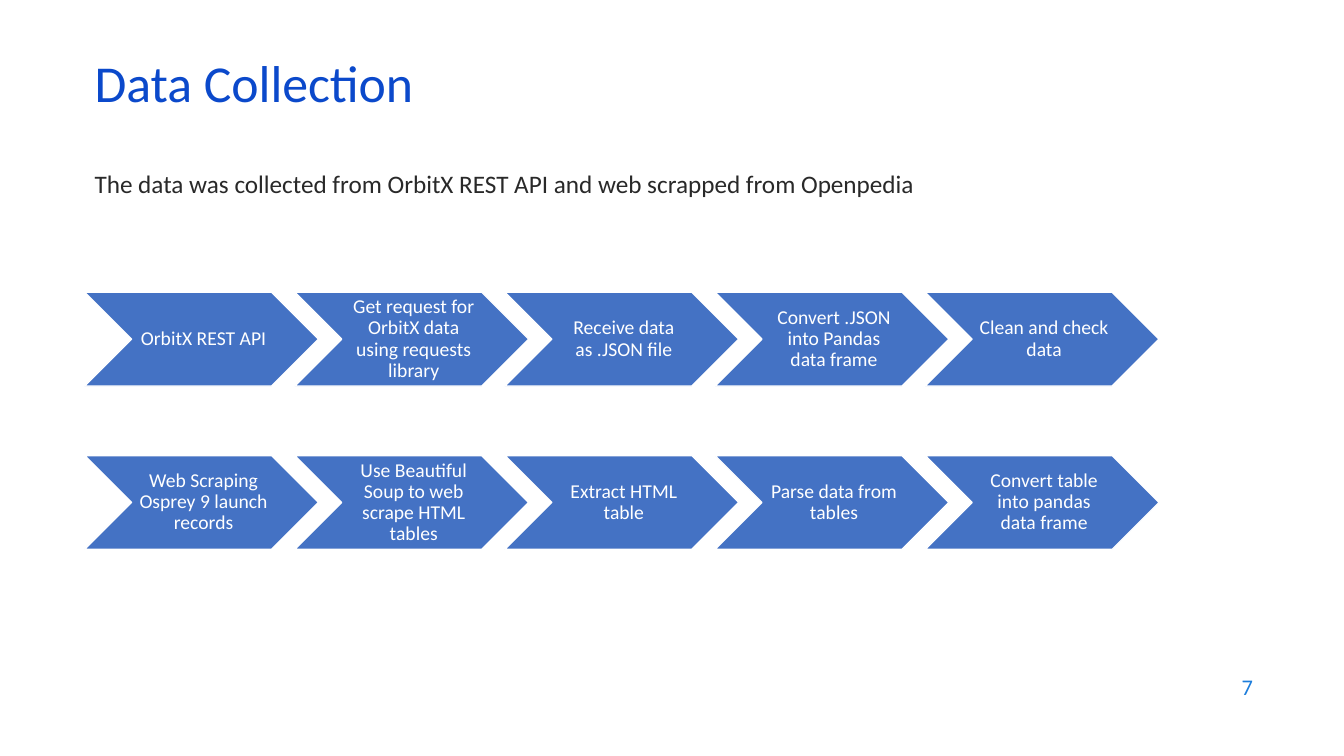
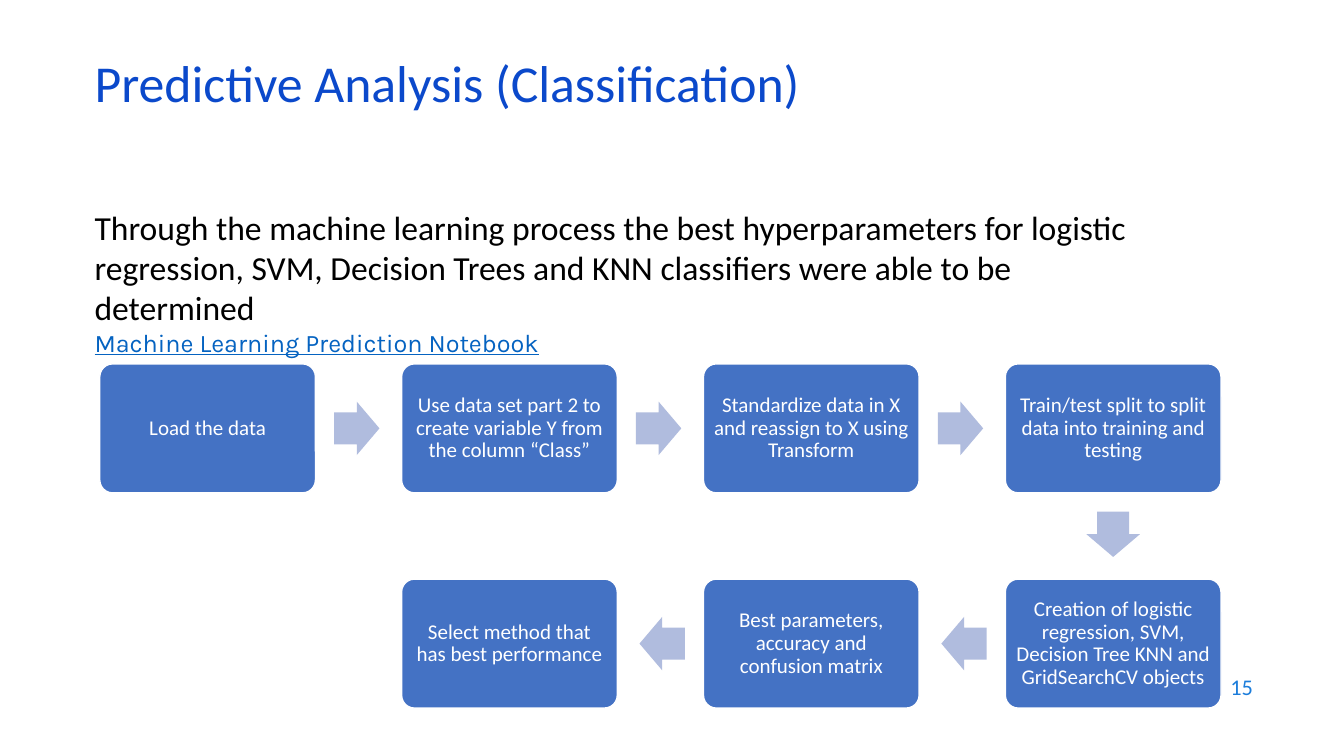
from dataclasses import dataclass

from pptx import Presentation
from pptx.dml.color import RGBColor
from pptx.enum.shapes import MSO_SHAPE
from pptx.enum.text import MSO_ANCHOR, PP_ALIGN
from pptx.util import Emu, Pt

PX = 4572  # 200 px to the inch

CHEVRON = MSO_SHAPE.CHEVRON
CARD = MSO_SHAPE.ROUNDED_RECTANGLE
ARROW = MSO_SHAPE.RIGHT_ARROW
TOP, MIDDLE = MSO_ANCHOR.TOP, MSO_ANCHOR.MIDDLE
LEFT, CENTER, RIGHT = PP_ALIGN.LEFT, PP_ALIGN.CENTER, PP_ALIGN.RIGHT


@dataclass(frozen=True)
class Theme:
    font: str = "Calibri"
    link_font: str = "Karla"
    title: str = "0B49CB"
    number: str = "1C7DDB"
    intro: str = "292929"
    body: str = "000000"
    link: str = "0563C1"
    step: str = "4472C4"
    arrow: str = "B0BCDE"
    white: str = "FFFFFF"
    title_size: int = 37
    body_size: int = 24
    intro_size: int = 18
    number_size: int = 16
    card_size: int = 15
    chevron_size: int = 14


THEME = Theme()

MARGIN = 168
CHEVRON_WIDTH, CHEVRON_HEIGHT, CHEVRON_STEP = 464, 186, 417
CHEVRON_INSETS = (12, 4, 4, 4)
CARD_LEFT, CARD_TOP = 198, 722
CARD_WIDTH, CARD_HEIGHT = 428, 256
CARD_STEP_X, CARD_STEP_Y = 599, 427
CARD_INSETS = (12, 12, 12, 12)
ARROW_LENGTH, ARROW_BREADTH, ARROW_GAP = 90, 106, 37
ARROW_ROTATION = {(1, 0): 0, (0, 1): 90, (-1, 0): 180}

COLLECTION_ROWS = [
    (580, ["OrbitX REST API",
           "Get request for OrbitX data using requests library",
           "Receive data as .JSON file",
           "Convert .JSON into Pandas data frame",
           "Clean and check data"]),
    (904, ["Web Scraping Osprey 9 launch records",
           "Use Beautiful Soup to web scrape HTML tables",
           "Extract HTML table",
           "Parse data from tables",
           "Convert table into pandas data frame"]),
]

# Column, row and wording of each card, in reading order of the flow
ANALYSIS_STEPS = [
    (0, 0, "Load the data"),
    (1, 0, "Use data set part 2 to create variable Y from the column “Class”"),
    (2, 0, "Standardize data in X and reassign to X using Transform"),
    (3, 0, "Train/test split to split data into training and testing"),
    (3, 1, "Creation of logistic regression, SVM, Decision Tree KNN and "
           "GridSearchCV objects"),
    (2, 1, "Best parameters, accuracy and confusion matrix"),
    (1, 1, "Select method that has best performance"),
]


def px(*lengths):
    return [Emu(length * PX) for length in lengths]


def set_frame(frame, anchor, insets=(20, 10, 20, 10)):
    frame.word_wrap = True
    frame.vertical_anchor = anchor
    (frame.margin_left, frame.margin_top,
     frame.margin_right, frame.margin_bottom) = px(*insets)


def write(para, text, size, color, font=THEME.font, align=LEFT, spacing=1.0,
          underline=False):
    para.alignment = align
    para.line_spacing = spacing
    span = para.add_run()
    span.text = text
    span.font.name = font
    span.font.size = Pt(size)
    span.font.color.rgb = RGBColor.from_string(color)
    if underline:
        span.font.underline = True


def add_box(page, left, top, width, height, anchor=TOP):
    """Add a text box and return its text frame."""
    frame = page.shapes.add_textbox(*px(left, top, width, height)).text_frame
    set_frame(frame, anchor)
    return frame


def add_filled(page, kind, left, top, width, height, fill, outline=None):
    shape = page.shapes.add_shape(kind, *px(left, top, width, height))
    shape.shadow.inherit = False
    shape.fill.solid()
    shape.fill.fore_color.rgb = RGBColor.from_string(fill)
    if outline:
        shape.line.color.rgb = RGBColor.from_string(outline)
        shape.line.width = Pt(1)
    else:
        shape.line.fill.background()
    return shape


def add_step(page, kind, left, top, width, height, text, size, insets):
    """Add a blue process step with centred white text."""
    shape = add_filled(page, kind, left, top, width, height,
                       THEME.step, THEME.white)
    set_frame(shape.text_frame, MIDDLE, insets)
    write(shape.text_frame.paragraphs[0], text, size, THEME.white,
          align=CENTER, spacing=0.9)
    return shape


def add_chevron_row(page, top, texts):
    for index, text in enumerate(texts):
        add_step(page, CHEVRON, MARGIN + index * CHEVRON_STEP, top,
                 CHEVRON_WIDTH, CHEVRON_HEIGHT, text,
                 THEME.chevron_size, CHEVRON_INSETS)


def card_corner(column, row):
    return CARD_LEFT + column * CARD_STEP_X, CARD_TOP + row * CARD_STEP_Y


def add_card(page, column, row, text):
    card = add_step(page, CARD, *card_corner(column, row), CARD_WIDTH,
                    CARD_HEIGHT, text, THEME.card_size, CARD_INSETS)
    card.adjustments[0] = 0.1


def add_flow_arrow(page, column, row, direction):
    """Add an arrow that leaves the card at column, row."""
    left, top = card_corner(column, row)
    across, down = direction
    reach = ARROW_GAP + ARROW_LENGTH // 2
    center_x = left + CARD_WIDTH // 2 + across * (CARD_WIDTH // 2 + reach)
    center_y = top + CARD_HEIGHT // 2 + down * (CARD_HEIGHT // 2 + reach)
    arrow = add_filled(page, ARROW, center_x - ARROW_LENGTH // 2,
                       center_y - ARROW_BREADTH // 2,
                       ARROW_LENGTH, ARROW_BREADTH, THEME.arrow)
    arrow.adjustments[0] = 0.6
    arrow.adjustments[1] = 0.5
    arrow.rotation = ARROW_ROTATION[direction]


def add_page(deck, title, number):
    page = deck.slides.add_slide(deck.slide_layouts[6])
    heading = add_box(page, MARGIN, 118, 2300, 120, MIDDLE)
    write(heading.paragraphs[0], title, THEME.title_size, THEME.title,
          spacing=0.7)
    footer = add_box(page, 1906, 1318, 600, 88, MIDDLE)
    write(footer.paragraphs[0], str(number), THEME.number_size, THEME.number,
          align=RIGHT)
    return page


def build_collection(deck):
    page = add_page(deck, "Data Collection", 7)
    intro = add_box(page, MARGIN, 324, 2314, 80)
    write(intro.paragraphs[0],
          "The data was collected from OrbitX REST API and web scrapped "
          "from Openpedia", THEME.intro_size, THEME.intro)
    for top, texts in COLLECTION_ROWS:
        add_chevron_row(page, top, texts)


def build_analysis(deck):
    page = add_page(deck, "Predictive Analysis (Classification)", 15)
    body = add_box(page, MARGIN, 400, 2132, 322)
    write(body.paragraphs[0],
          "Through the machine learning process the best hyperparameters for "
          "logistic regression, SVM, Decision Trees and KNN classifiers were "
          "able to be determined", THEME.body_size, THEME.body)
    write(body.add_paragraph(), "Machine Learning Prediction Notebook",
          THEME.intro_size, THEME.link, font=THEME.link_font, underline=True)
    for column, row, text in ANALYSIS_STEPS:
        add_card(page, column, row, text)
    for start, end in zip(ANALYSIS_STEPS, ANALYSIS_STEPS[1:]):
        column, row = start[:2]
        add_flow_arrow(page, column, row, (end[0] - column, end[1] - row))


def main():
    deck = Presentation()
    deck.slide_width, deck.slide_height = px(2667, 1500)
    build_collection(deck)
    build_analysis(deck)
    deck.save("out.pptx")


if __name__ == "__main__":
    main()
